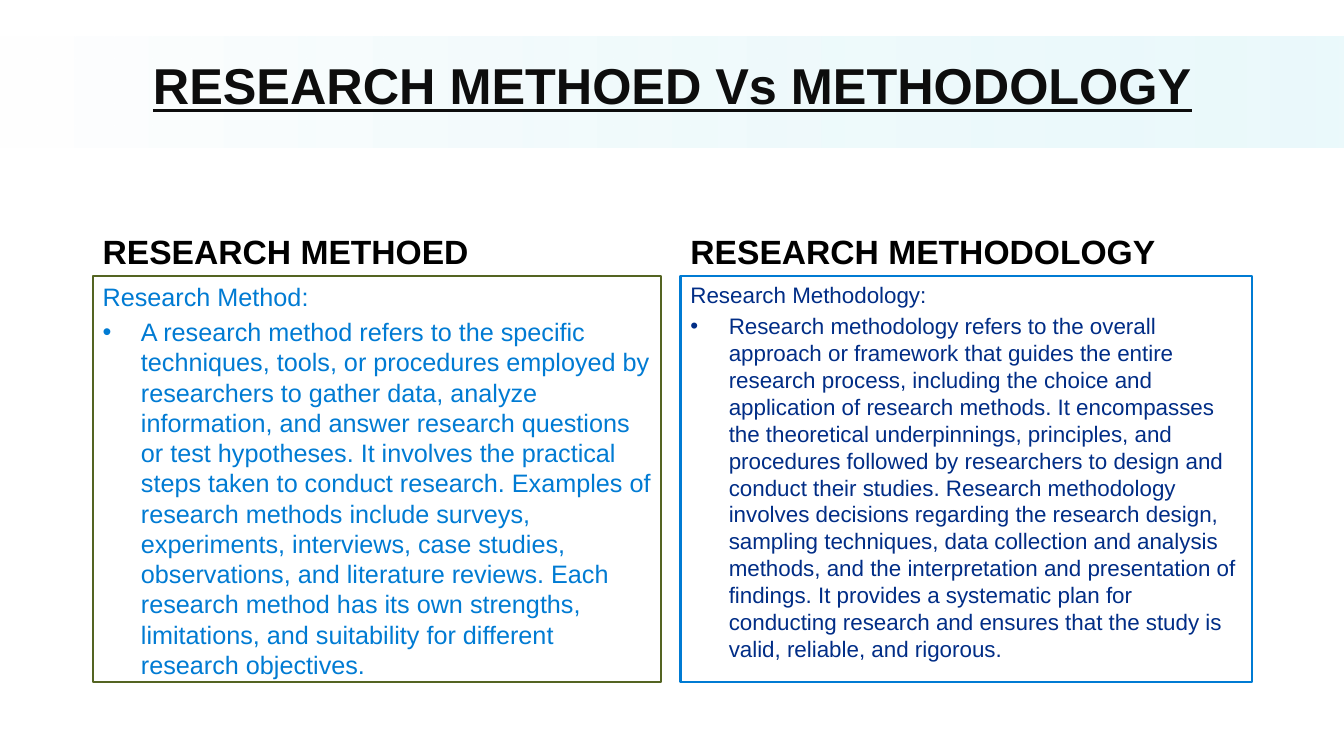
from lxml import etree
from pptx import Presentation
from pptx import util as u
from pptx.dml.color import RGBColor
from pptx.enum import shapes, text
from pptx.oxml.ns import qn

COLORS = {
    "title": "0D0D0D",
    "heading": "000000",
    "band_start": "FFFFFF",
    "band_end": "DBF5F9",
    "method_text": "007BD3",
    "method_border": "546422",
    "methodology_text": "012D86",
    "methodology_border": "007BD3",
}
FONT = "Arial"
HEADING_TOP, HEADING_HEIGHT = 1.84, 0.9
BODY_TOP, BODY_HEIGHT = 2.74, 4.03
BULLET_INDENT = 0.38

METHOD = (
    "A research method refers to the specific techniques, tools, or procedures "
    "employed by researchers to gather data, analyze information, and answer "
    "research questions or test hypotheses. It involves the practical steps taken "
    "to conduct research. Examples of research methods include surveys, "
    "experiments, interviews, case studies, observations, and literature reviews. "
    "Each research method has its own strengths, limitations, and suitability for "
    "different research objectives."
)
METHODOLOGY = (
    "Research methodology refers to the overall approach or framework that guides "
    "the entire research process, including the choice and application of research "
    "methods. It encompasses the theoretical underpinnings, principles, and "
    "procedures followed by researchers to design and conduct their studies. "
    "Research methodology involves decisions regarding the research design, "
    "sampling techniques, data collection and analysis methods, and the "
    "interpretation and presentation of findings. It provides a systematic plan for "
    "conducting research and ensures that the study is valid, reliable, and rigorous."
)


def color(name):
    return RGBColor.from_string(COLORS[name])


def add_band(slide):
    band = slide.shapes.add_shape(
        shapes.MSO_SHAPE.RECTANGLE, 0, u.Inches(0.36), u.Inches(13.33), u.Inches(1.1)
    )
    band.shadow.inherit = False
    band.line.fill.background()
    band.fill.gradient()
    band.fill.gradient_angle = 0
    for stop, name in zip(band.fill.gradient_stops, ("band_start", "band_end")):
        stop.color.rgb = color(name)
    end_color = list(band.element.spPr.iter(qn("a:srgbClr")))[-1]
    etree.SubElement(end_color, qn("a:alpha"), val="54000")


def add_text(slide, left, top, width, height, lines, size, color_name, anchor):
    box = slide.shapes.add_textbox(*map(u.Inches, (left, top, width, height)))
    frame = box.text_frame
    frame.word_wrap = True
    frame.vertical_anchor = anchor
    frame.text = "\n".join(lines)
    for paragraph in frame.paragraphs:
        font = paragraph.runs[0].font
        font.name = FONT
        font.size = u.Pt(size)
        font.color.rgb = color(color_name)
    return box


def add_heading(slide, left, top, width, height, line, size, color_name, anchor):
    box = add_text(slide, left, top, width, height, [line], size, color_name, anchor)
    paragraph = box.text_frame.paragraphs[0]
    paragraph.runs[0].font.bold = True
    return paragraph


def add_bullet(paragraph):
    properties = paragraph._p.get_or_add_pPr()
    properties.set("marL", str(u.Inches(BULLET_INDENT)))
    properties.set("indent", str(-u.Inches(BULLET_INDENT)))
    etree.SubElement(properties, qn("a:buFont"), typeface=FONT)
    etree.SubElement(properties, qn("a:buChar"), char="•")


def add_column(slide, left, width, heading, intro, definition, size, topic):
    add_heading(slide, left, HEADING_TOP, width, HEADING_HEIGHT, heading, 24,
                "heading", text.MSO_ANCHOR.BOTTOM)
    body = add_text(slide, left, BODY_TOP, width, BODY_HEIGHT, [intro, definition],
                    size, f"{topic}_text", text.MSO_ANCHOR.TOP)
    body.line.color.rgb = color(f"{topic}_border")
    body.line.width = u.Pt(1.5)
    explanation = body.text_frame.paragraphs[1]
    explanation.space_before = u.Pt(0.2 * size)
    add_bullet(explanation)


def main():
    deck = Presentation()
    deck.slide_width, deck.slide_height = u.Inches(13.33), u.Inches(7.5)
    slide = deck.slides.add_slide(deck.slide_layouts[6])
    add_band(slide)
    title = add_heading(slide, 0.92, 0.22, 11.5, 1.24, "RESEARCH METHOED Vs METHODOLOGY",
                        36, "title", text.MSO_ANCHOR.MIDDLE)
    title.alignment = text.PP_ALIGN.CENTER
    title.runs[0].font.underline = True
    add_column(slide, 0.92, 5.64, "RESEARCH METHOED", "Research Method:",
               METHOD, 18, "method")
    add_column(slide, 6.75, 5.67, "RESEARCH METHODOLOGY", "Research Methodology:",
               METHODOLOGY, 16, "methodology")
    deck.save("out.pptx")


if __name__ == "__main__":
    main()
